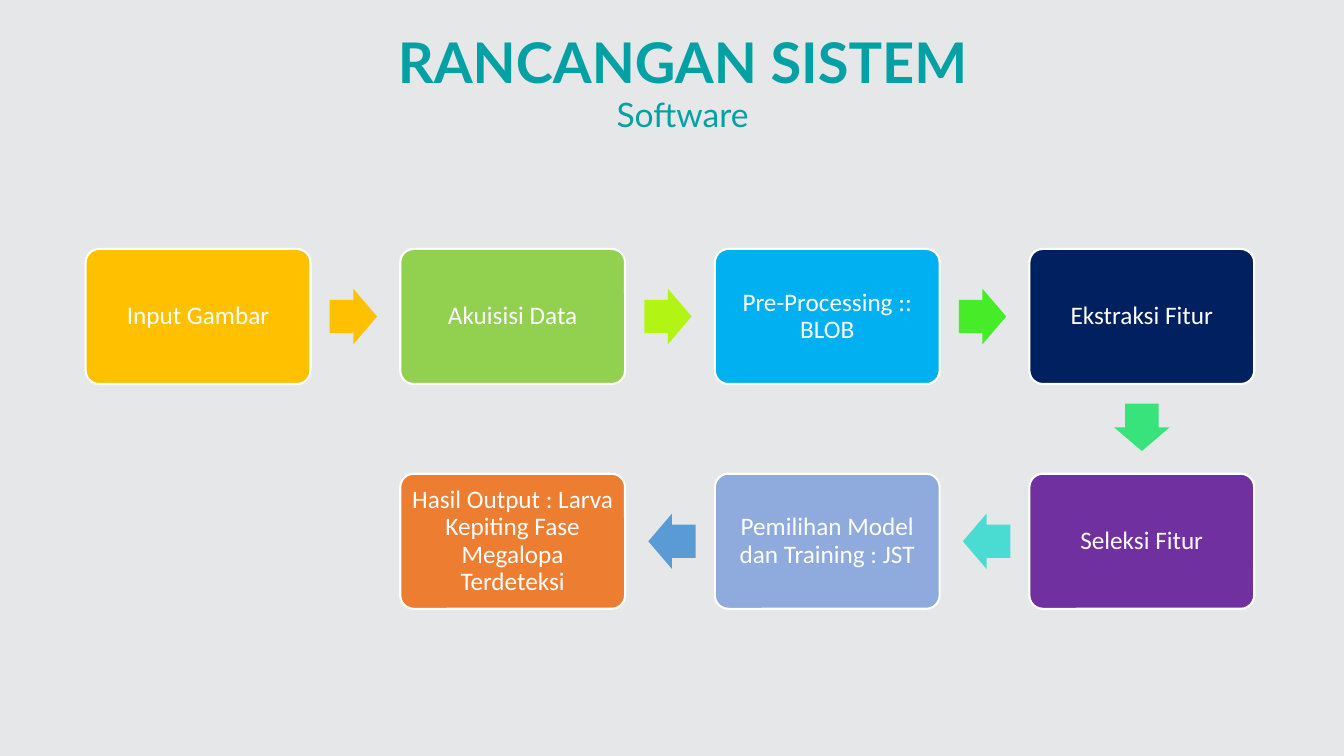
from dataclasses import dataclass

from pptx import Presentation
from pptx.dml.color import RGBColor
from pptx.enum.shapes import MSO_SHAPE
from pptx.enum.text import MSO_ANCHOR, MSO_AUTO_SIZE, PP_ALIGN
from pptx.util import Inches, Pt

ROUNDED = MSO_SHAPE.ROUNDED_RECTANGLE
ARROW = MSO_SHAPE.RIGHT_ARROW
MIDDLE = MSO_ANCHOR.MIDDLE
GROW = MSO_AUTO_SIZE.SHAPE_TO_FIT_TEXT
CENTER = PP_ALIGN.CENTER


@dataclass(frozen=True)
class Theme:
    """Colours, fonts and type sizes of the slide."""
    background: str = "E6E7E9"
    heading: str = "03A1A4"
    light: str = "FFFFFF"
    heading_font: str = "Lato"
    step_font: str = "Calibri"
    title_size: int = 40
    subtitle_size: int = 24
    step_size: int = 18


THEME = Theme()

# Flow grid, in inches
LEFT, TOP = 0.85, 2.47
COLUMN_PITCH, ROW_PITCH = 3.12, 2.23
STEP_WIDTH, STEP_HEIGHT = 2.23, 1.34
ARROW_WIDTH, ARROW_HEIGHT = 0.47, 0.55
REACH_ACROSS, REACH_DOWN = 1.54, 1.1  # step centre to arrow centre

# Label, column, row, step colour, colour of the arrow to the next step
STEPS = [
    ("Input Gambar", 0, 0, "FFC000", "FFC000"),
    ("Akuisisi Data", 1, 0, "92D050", "B2F514"),
    ("Pre-Processing :: BLOB", 2, 0, "00B0F0", "46EC27"),
    ("Ekstraksi Fitur", 3, 0, "002060", "39E37B"),
    ("Seleksi Fitur", 3, 1, "7030A0", "4ADCD2"),
    ("Pemilihan Model dan Training : JST", 2, 1, "8FAADC", "5B9BD5"),
    ("Hasil Output : Larva Kepiting Fase Megalopa Terdeteksi", 1, 1, "ED7D31", None),
]


def apply_format(target, values):
    """Set each attribute of target from a dict of format values."""
    for name, value in values.items():
        setattr(target, name, value)


def write_text(frame, text, font, size, color, bold=False):
    """Write one centred line of text and return its paragraph."""
    para = frame.paragraphs[0]
    para.alignment = CENTER
    span = para.add_run()
    span.text = text
    apply_format(span.font, {"name": font, "size": Pt(size), "bold": bold})
    span.font.color.rgb = RGBColor.from_string(color)
    return para


def add_heading(page, text, area, size, bold=False):
    """Add a heading text box."""
    box = page.shapes.add_textbox(*map(Inches, area))
    apply_format(box.text_frame, {"word_wrap": True, "auto_size": GROW})
    write_text(box.text_frame, text, THEME.heading_font, size, THEME.heading, bold)


def add_solid(page, kind, center, size, color, adjustments):
    """Add a filled preset shape around a centre point."""
    corner = [middle - length / 2 for middle, length in zip(center, size)]
    shape = page.shapes.add_shape(kind, *map(Inches, (*corner, *size)))
    shape.shadow.inherit = False
    shape.fill.solid()
    shape.fill.fore_color.rgb = RGBColor.from_string(color)
    for index, value in enumerate(adjustments):
        shape.adjustments[index] = value
    return shape


def add_step(page, text, center, color):
    """Add one labelled step of the flow."""
    box = add_solid(page, ROUNDED, center, (STEP_WIDTH, STEP_HEIGHT), color, [0.1])
    box.line.color.rgb = RGBColor.from_string(THEME.light)
    box.line.width = Pt(1.5)
    inset = Inches(0.07)
    apply_format(box.text_frame, {
        "word_wrap": True, "vertical_anchor": MIDDLE,
        "margin_left": inset, "margin_right": inset,
        "margin_top": inset, "margin_bottom": inset,
    })
    para = write_text(box.text_frame, text, THEME.step_font, THEME.step_size, THEME.light)
    para.line_spacing = 0.9


def add_arrow(page, center, across, down, color):
    """Add a block arrow that leaves a step in the given direction."""
    middle = (center[0] + across * REACH_ACROSS, center[1] + down * REACH_DOWN)
    arrow = add_solid(page, ARROW, middle, (ARROW_WIDTH, ARROW_HEIGHT), color, [0.6, 0.5])
    arrow.line.fill.background()
    arrow.rotation = 90 if down else 180 if across < 0 else 0


def add_flow(page):
    """Add all steps and the arrows between them."""
    for index, (text, column, row, color, arrow_color) in enumerate(STEPS):
        center = (LEFT + column * COLUMN_PITCH + STEP_WIDTH / 2,
                  TOP + row * ROW_PITCH + STEP_HEIGHT / 2)
        add_step(page, text, center, color)
        if arrow_color:
            next_column, next_row = STEPS[index + 1][1:3]
            add_arrow(page, center, next_column - column, next_row - row, arrow_color)


def main():
    """Build the slide and save the deck."""
    deck = Presentation()
    apply_format(deck, {"slide_width": Inches(13.33), "slide_height": Inches(7.5)})
    page = deck.slides.add_slide(deck.slide_layouts[6])
    page.background.fill.solid()
    page.background.fill.fore_color.rgb = RGBColor.from_string(THEME.background)
    add_heading(page, "RANCANGAN SISTEM", (2.79, 0.22, 7.96, 0.77), THEME.title_size, bold=True)
    add_heading(page, "Software", (4.59, 0.88, 4.36, 0.5), THEME.subtitle_size)
    add_flow(page)
    deck.save("out.pptx")


main()
